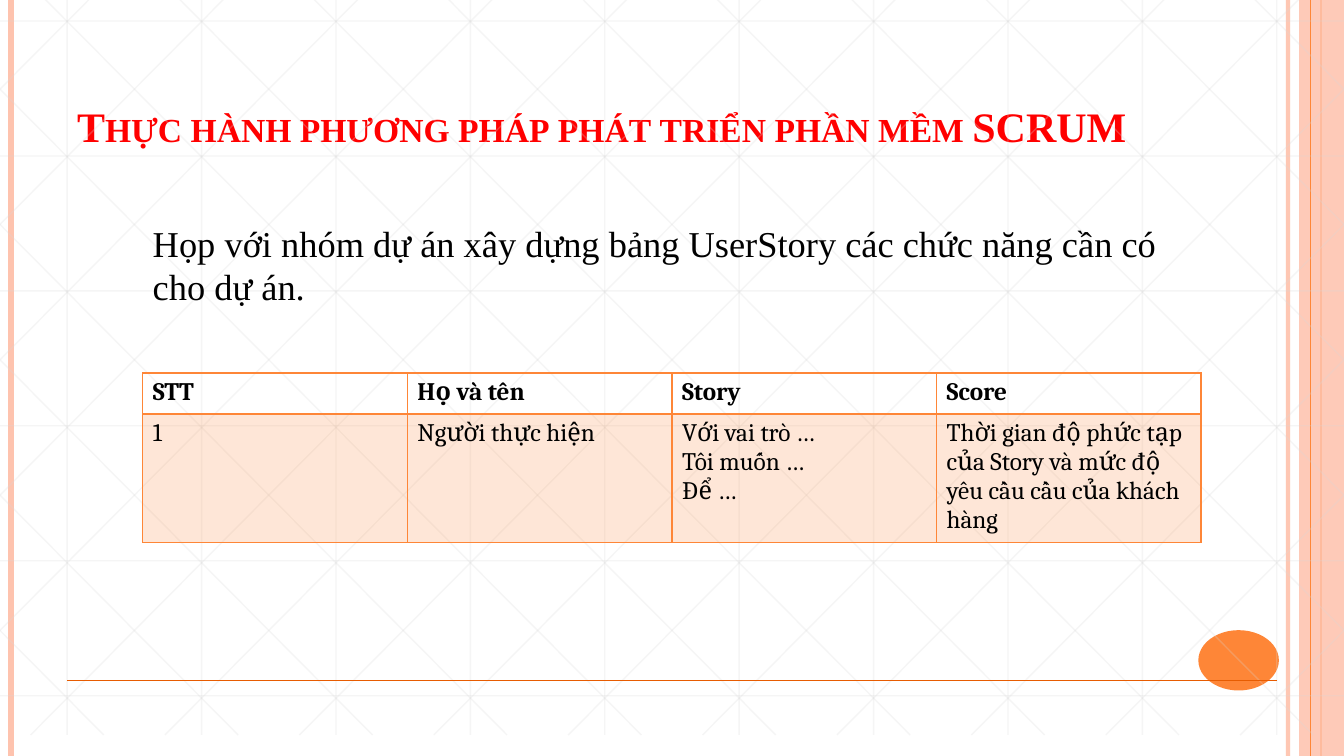
from lxml import etree
from pptx import Presentation
from pptx.dml.color import RGBColor
from pptx.enum.shapes import MSO_CONNECTOR, MSO_SHAPE
from pptx.enum.text import MSO_ANCHOR, PP_ALIGN
from pptx.oxml.ns import qn
from pptx.util import Cm, Pt

STRAIGHT = MSO_CONNECTOR.STRAIGHT
RECTANGLE, ELLIPSE = MSO_SHAPE.RECTANGLE, MSO_SHAPE.OVAL
BOTTOM, LEFT = MSO_ANCHOR.BOTTOM, PP_ALIGN.LEFT

ORANGE = RGBColor(0xFE, 0x86, 0x37)
DARK_ORANGE = RGBColor(0xE7, 0x5C, 0x01)
PEACH = RGBColor(0xFE, 0xC3, 0xAE)
GRAY = RGBColor(0xD9, 0xD9, 0xD9)
RED = RGBColor(0xFF, 0x00, 0x00)
BLACK = RGBColor(0x00, 0x00, 0x00)

WIDTH, HEIGHT = 33.87, 19.05
GRID_TOP, GRID_BOTTOM = -0.53, 18.52
GRID_STEP = WIDTH / 10
DIAGONAL_START, DIAGONAL_RUN = 0.63, 18.92

HEADERS = ["STT", "Họ và tên", "Story", "Score"]
STORY = [
    "1",
    "Người thực hiện",
    "Với vai trò …\nTôi muốn …\nĐể …",
    "Thời gian độ phức tạp của Story và mức độ yêu cầu cầu của khách hàng",
]


class SlideBuilder:
    heading_font = "Times New Roman"
    table_font = "Cambria"

    def __init__(self, presentation):
        self.slide = presentation.slides.add_slide(presentation.slide_layouts[5])
        self.shapes = self.slide.shapes

    def set_opacity(self, parent, percent):
        for color in parent.iter(qn("a:srgbClr")):
            etree.SubElement(color, qn("a:alpha"), val=str(percent * 1000))

    def style_text(self, text_frame, font_name, size, color, bold=False):
        for paragraph in text_frame.paragraphs:
            paragraph.alignment = LEFT
            paragraph.font.name = font_name
            paragraph.font.size = Pt(size)
            paragraph.font.color.rgb = color
            paragraph.font.bold = bold

    def line(self, start, end, color, width, opacity=100, container=None):
        shapes = self.shapes if container is None else container.shapes
        connector = shapes.add_connector(STRAIGHT, *(Cm(value) for value in start + end))
        connector.line.color.rgb = color
        connector.line.width = Pt(width)
        properties = connector._element.spPr
        if opacity < 100:
            self.set_opacity(properties, opacity)
        etree.SubElement(properties, qn("a:effectLst"))

    def vertical(self, x, color, width, opacity=100):
        self.line((x, 0), (x, HEIGHT), color, width, opacity)

    def shape(self, kind, box, color, opacity=100):
        shape = self.shapes.add_shape(kind, *(Cm(value) for value in box))
        shape.shadow.inherit = False
        shape.fill.solid()
        shape.fill.fore_color.rgb = color
        shape.line.fill.background()
        if opacity < 100:
            self.set_opacity(shape._element.spPr, opacity)

    def grid(self):
        group = self.shapes.add_group_shape()

        def grid_line(start, end):
            self.line(start, end, GRAY, 1, 25, group)

        for index in range(10):
            x = GRID_STEP * (index + 0.5)
            grid_line((x, GRID_TOP), (x, GRID_BOTTOM))
        for index in range(6):
            y = 0.53 + 3.4 * index
            grid_line((0, y), (WIDTH, y))
        slope = (GRID_BOTTOM - GRID_TOP) / DIAGONAL_RUN
        for index in range(-5, 10):
            origin = DIAGONAL_START + GRID_STEP * index
            left, right = max(origin, 0), min(origin + DIAGONAL_RUN, WIDTH)
            top, bottom = (GRID_TOP + (x - origin) * slope for x in (left, right))
            grid_line((left, top), (right, bottom))
            grid_line((WIDTH - left, top), (WIDTH - right, bottom))

    def title(self, text, box):
        title = self.shapes.title
        title.left, title.top, title.width, title.height = (Cm(value) for value in box)
        frame = title.text_frame
        frame.text = text
        frame.word_wrap = True
        frame.vertical_anchor = BOTTOM
        self.style_text(frame, self.heading_font, 30, RED, True)
        for run in frame.paragraphs[0].runs:
            run._r.get_or_add_rPr().set("cap", "small")

    def text(self, text, box):
        frame = self.shapes.add_textbox(*(Cm(value) for value in box)).text_frame
        frame.text = text
        frame.word_wrap = True
        self.style_text(frame, self.heading_font, 26, BLACK)

    def border(self, cell, widths):
        properties = cell._tc.get_or_add_tcPr()
        for position, (side, width) in enumerate(widths.items()):
            line = etree.Element(qn(f"a:ln{side}"), w=str(Pt(width)))
            fill = etree.SubElement(line, qn("a:solidFill"))
            etree.SubElement(fill, qn("a:srgbClr"), val=str(ORANGE))
            properties.insert(position, line)

    def table(self, rows, box, heights):
        frame = self.shapes.add_table(len(rows), len(rows[0]), *(Cm(value) for value in box))
        table = frame.table
        table.horz_banding = False
        table.first_row = False
        for row_index, texts in enumerate(rows):
            table.rows[row_index].height = Cm(heights[row_index])
            header = row_index == 0
            for column_index, text in enumerate(texts):
                cell = table.cell(row_index, column_index)
                cell.text = text
                self.style_text(cell.text_frame, self.table_font, 18, BLACK, header)
                if header:
                    cell.fill.background()
                else:
                    cell.fill.solid()
                    cell.fill.fore_color.rgb = ORANGE
                    self.set_opacity(cell._tc.tcPr, 20)
                top, bottom = (1, 2) if header else (2, 1)
                self.border(cell, {"L": 1, "R": 1, "T": top, "B": bottom})


def main():
    presentation = Presentation()
    presentation.slide_width, presentation.slide_height = Cm(WIDTH), Cm(HEIGHT)
    builder = SlideBuilder(presentation)
    builder.vertical(32.46, PEACH, 3, 93)
    builder.vertical(0.28, PEACH, 4.5)
    builder.vertical(33.3, ORANGE, 1.5)
    builder.shape(RECTANGLE, (32.74, 0, 1.13, HEIGHT), PEACH, 87)
    builder.vertical(33.02, ORANGE, 0.75)
    builder.shape(ELLIPSE, (30.2, 15.88, 2.03, 1.52), ORANGE)
    builder.grid()
    builder.line((1.69, 17.15), (32.18, 17.15), DARK_ORANGE, 1)
    builder.title("Thực hành phương pháp phát triển phần mềm SCRUM", (1.69, 0.76, 27.66, 3.18))
    builder.table([HEADERS, STORY], (3.6, 9.4, 26.67, 4.27), (1.03, 3.23))
    builder.text(
        "Họp với nhóm dự án xây dựng bảng UserStory các chức năng cần có cho dự án.",
        (3.6, 5.44, 26.67, 2.49),
    )
    presentation.save("out.pptx")


if __name__ == "__main__":
    main()
